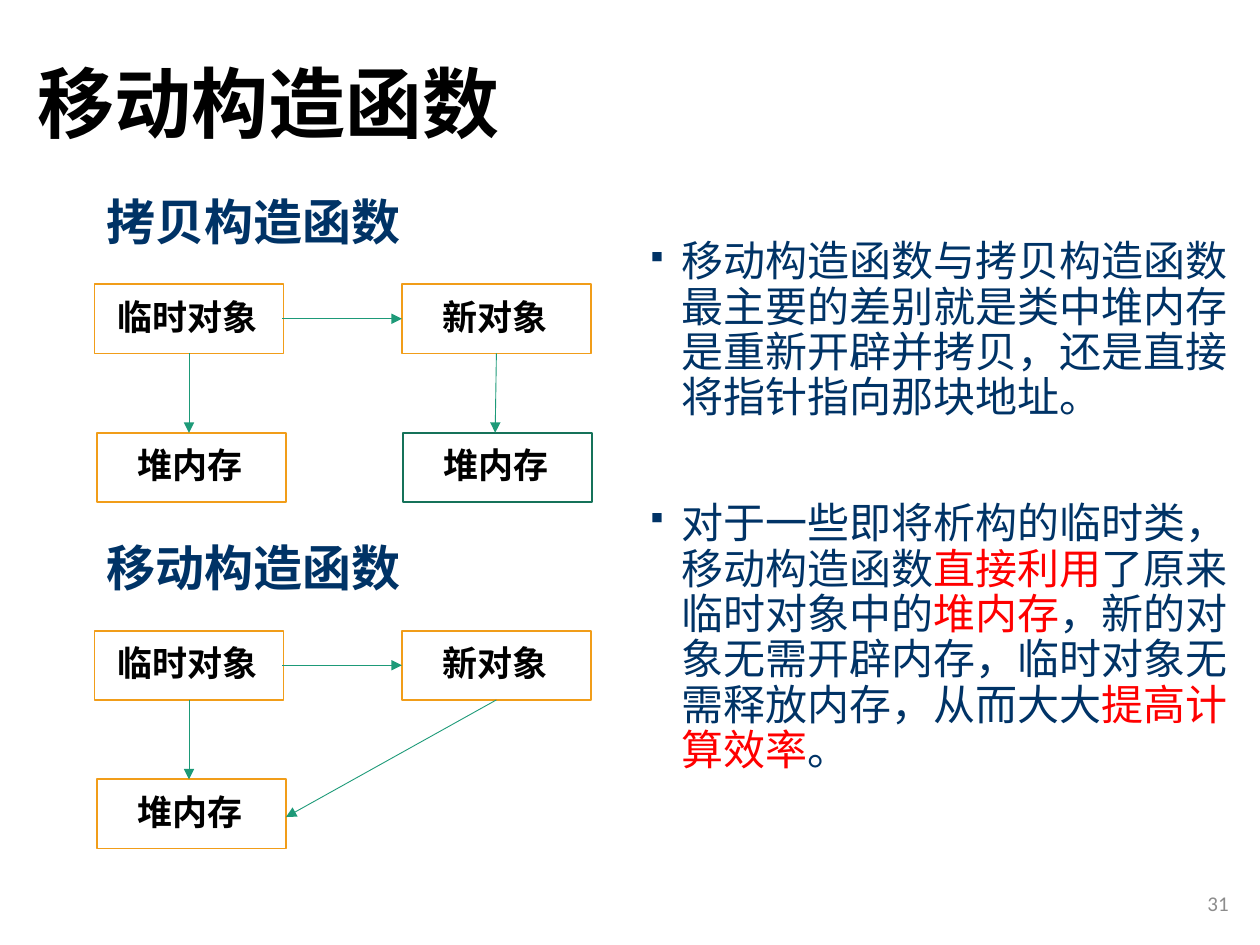
from pptx import Presentation
from pptx.dml.color import RGBColor
from pptx.enum.shapes import MSO_CONNECTOR, MSO_SHAPE
from pptx.enum.text import MSO_ANCHOR, PP_ALIGN
from pptx.oxml.ns import qn
from pptx.util import Inches, Pt
from lxml.etree import SubElement

CJK_FONT = "Noto Sans CJK SC"
NAVY, RED, BLACK, GREY = "003366", "FF0000", "000000", "8C8C8C"
ORANGE, GREEN, DARK_GREEN, WHITE = "F19D19", "1D9A78", "157259", "FFFFFF"


def color(value):
    """Turn a hex string into a colour."""
    return RGBColor.from_string(value)


def set_format(target, values):
    """Set each attribute named in a dict of format values."""
    for name, value in values.items():
        setattr(target, name, value)


def add_run(paragraph, text, size, hex_color, bold=False, font=CJK_FONT):
    """Add a run in one font for Latin and East Asian text."""
    run = paragraph.add_run()
    run.text = text
    set_format(run.font, {"size": Pt(size), "bold": bold, "name": font})
    run.font.color.rgb = color(hex_color)
    SubElement(run.font._element, qn("a:ea")).set("typeface", font)


def add_text_box(slide, box, anchor=MSO_ANCHOR.TOP):
    """Add an empty wrapping text box and return its text frame."""
    frame = slide.shapes.add_textbox(*map(Inches, box)).text_frame
    set_format(frame, {"word_wrap": True, "vertical_anchor": anchor})
    return frame


def add_heading(slide, box, text, size, hex_color, anchor=MSO_ANCHOR.TOP):
    """Add a one-line bold heading."""
    paragraph = add_text_box(slide, box, anchor).paragraphs[0]
    add_run(paragraph, text, size, hex_color, bold=True)
    return paragraph


def add_node(slide, left, top, label, line_color):
    """Add a labelled rectangle of the diagram."""
    shape = slide.shapes.add_shape(
        MSO_SHAPE.RECTANGLE, *map(Inches, (left, top, 1.5, 0.55)))
    shape.shadow.inherit = False
    shape.fill.solid()
    shape.fill.fore_color.rgb = color(WHITE)
    shape.line.color.rgb = color(line_color)
    shape.line.width = Pt(1)
    set_format(shape.text_frame,
               {"word_wrap": True, "vertical_anchor": MSO_ANCHOR.MIDDLE,
                "margin_right": Inches(0.12), "margin_bottom": Inches(0.09)})
    paragraph = shape.text_frame.paragraphs[0]
    paragraph.alignment = PP_ALIGN.CENTER
    add_run(paragraph, label, 20, BLACK, bold=True)


def add_arrow(slide, start, end):
    """Draw a thin arrow between two points."""
    arrow = slide.shapes.add_connector(
        MSO_CONNECTOR.STRAIGHT, *map(Inches, start + end))
    arrow.line.color.rgb = color(GREEN)
    arrow.line.width = Pt(0.5)
    SubElement(arrow.line._get_or_add_ln(), qn("a:tailEnd")).set("type", "triangle")
    SubElement(arrow._element.spPr, qn("a:effectLst"))


def add_diagram(slide, left, top, heading, own_heap):
    """Draw one constructor, with its own or a shared heap block."""
    add_heading(slide, (left, top, 2.82, 0.57), heading, 28, NAVY)
    node_top, heap_top = top + 0.785, top + 1.965
    node_middle, node_bottom = node_top + 0.275, node_top + 0.55
    add_node(slide, left, node_top, "临时对象", ORANGE)
    add_node(slide, left + 0.02, heap_top, "堆内存", ORANGE)
    add_node(slide, left + 2.44, node_top, "新对象", ORANGE)
    add_arrow(slide, (left + 1.49, node_middle), (left + 2.44, node_middle))
    add_arrow(slide, (left + 0.75, node_bottom), (left + 0.75, heap_top))
    if own_heap:
        add_node(slide, left + 2.45, heap_top, "堆内存", DARK_GREEN)
        new_target = (left + 3.18, heap_top)
    else:
        new_target = (left + 1.52, heap_top + 0.3)
    add_arrow(slide, (left + 3.19, node_bottom), new_target)


def add_bullets(slide, box, bullets):
    """Fill a box with square bullets made of coloured runs."""
    frame = add_text_box(slide, box)
    for index, runs in enumerate(bullets):
        paragraph = frame.add_paragraph() if index else frame.paragraphs[0]
        set_format(paragraph, {"line_spacing": 0.9,
                               "space_before": Pt(46 if index else 0)})
        properties = paragraph._p.get_or_add_pPr()
        properties.set("marL", str(Inches(0.25)))
        properties.set("indent", str(-Inches(0.25)))
        SubElement(properties, qn("a:buSzPct")).set("val", "75000")
        SubElement(properties, qn("a:buFont")).set("typeface", "Wingdings")
        SubElement(properties, qn("a:buChar")).set("char", "§")
        for text, hex_color in runs:
            add_run(paragraph, text, 24, hex_color)


def add_slide_number(slide, box, number):
    """Add the right-aligned slide number."""
    paragraph = add_text_box(slide, box, MSO_ANCHOR.MIDDLE).paragraphs[0]
    paragraph.alignment = PP_ALIGN.RIGHT
    add_run(paragraph, number, 12, GREY, font="Calibri")


def main():
    """Build and save the slide."""
    presentation = Presentation()
    set_format(presentation, {"slide_width": Inches(10), "slide_height": Inches(7.5)})
    slide = presentation.slides.add_slide(presentation.slide_layouts[6])
    title = add_heading(slide, (0.2, 0.13, 8.62, 1.45), "移动构造函数", 44, BLACK,
                        MSO_ANCHOR.MIDDLE)
    title.line_spacing = 0.9
    add_diagram(slide, 0.75, 1.47, "拷贝构造函数", own_heap=True)
    add_diagram(slide, 0.75, 4.22, "移动构造函数", own_heap=False)
    add_bullets(slide, (5.06, 1.86, 4.79, 4.25), [
        [("移动构造函数与拷贝构造函数最主要的差别就是类中堆内存是重新开辟并拷贝，"
          "还是直接将指针指向那块地址。", NAVY)],
        [("对于一些即将析构的临时类，移动构造函数", NAVY),
         ("直接利用", RED),
         ("了原来临时对象中的", NAVY),
         ("堆内存", RED),
         ("，新的对象无需开辟内存，临时对象无需释放内存，从而大大", NAVY),
         ("提高计算效率", RED),
         ("。", NAVY)],
    ])
    add_slide_number(slide, (7.6, 6.97, 2.25, 0.4), "31")
    presentation.save("out.pptx")


main()
